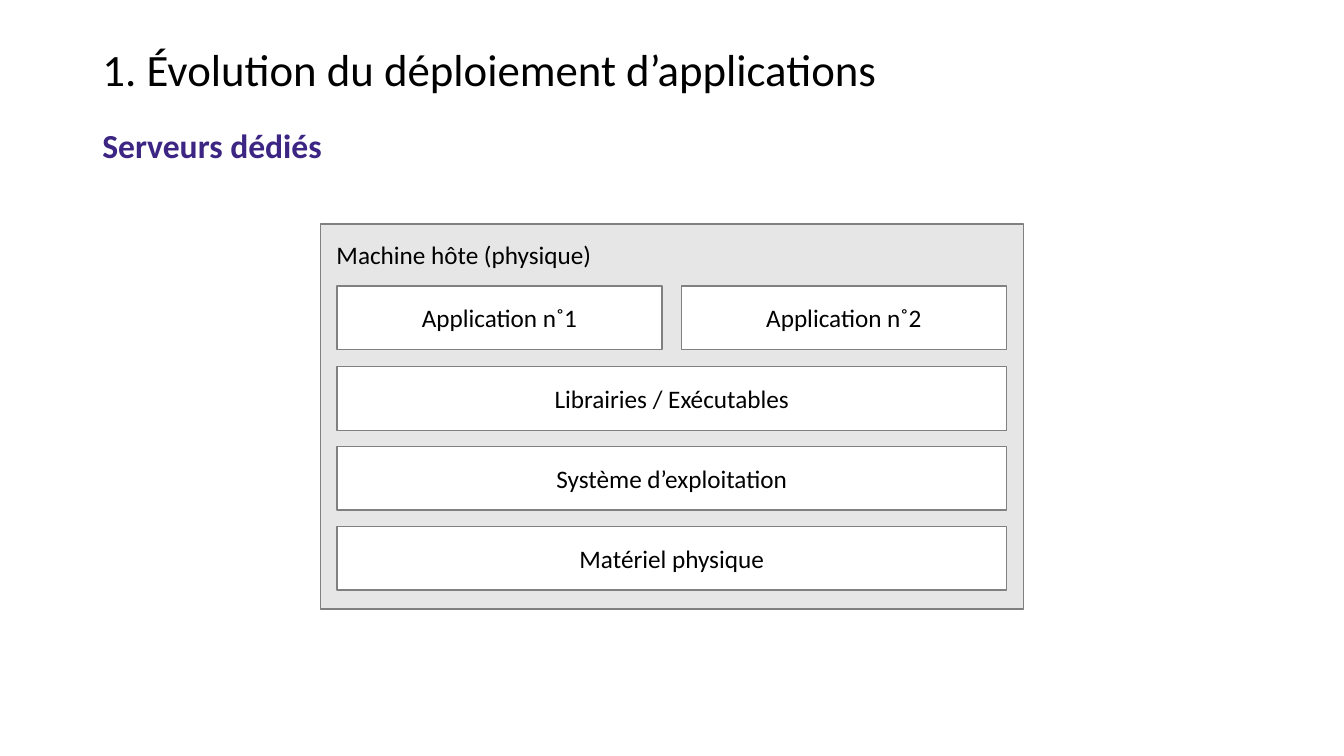
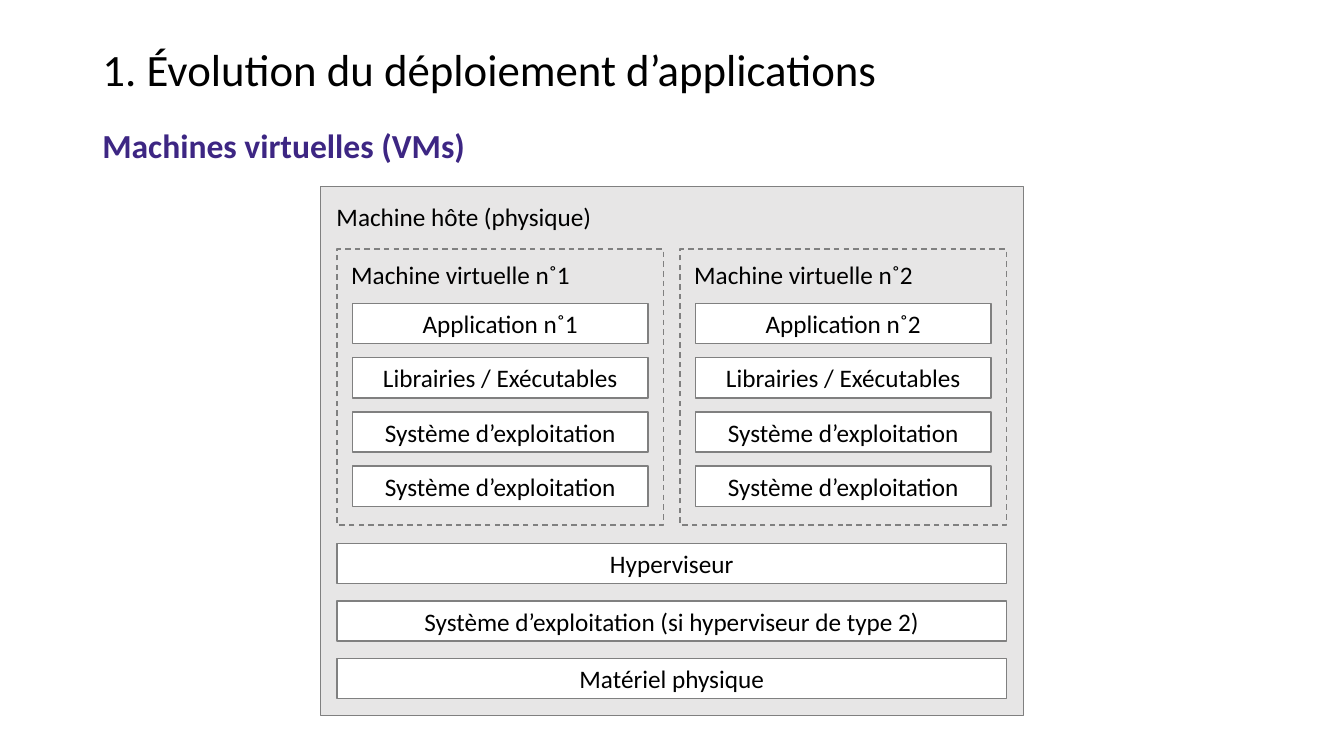
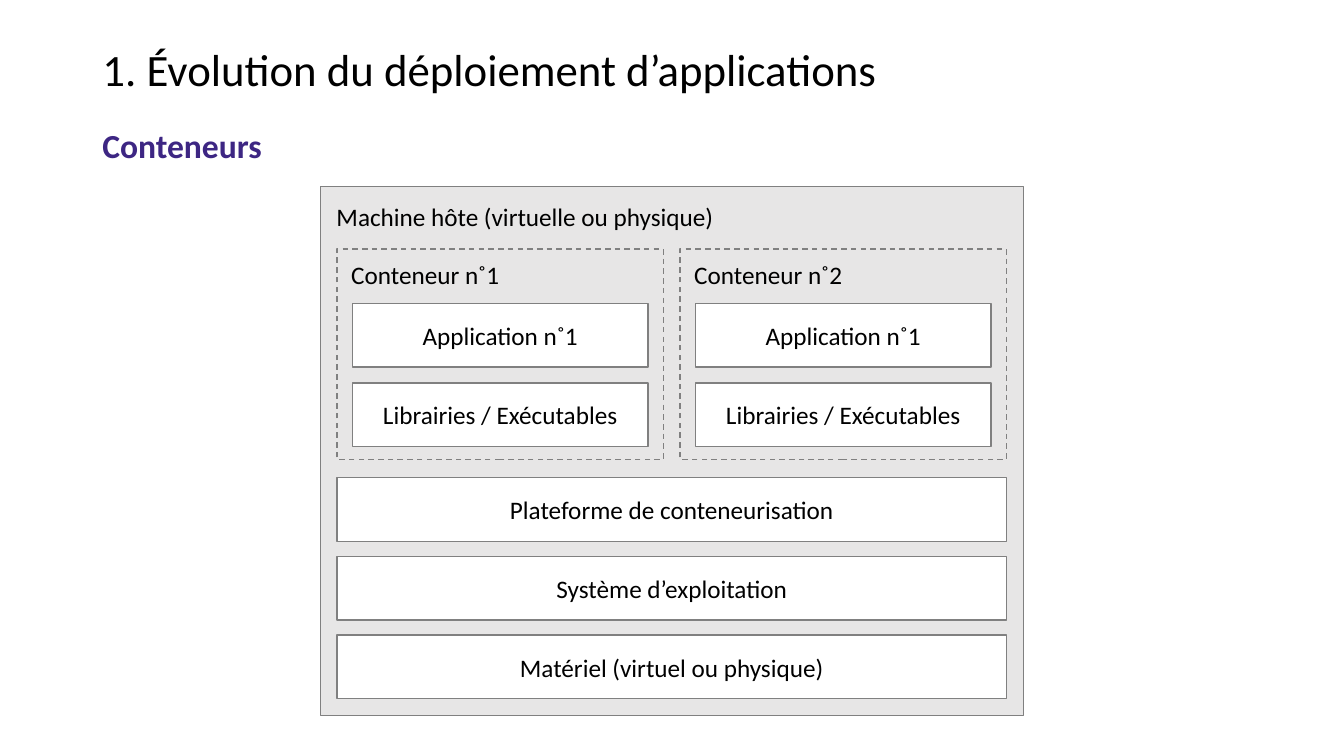
from dataclasses import dataclass

from pptx import Presentation
from pptx.dml.color import RGBColor
from pptx.enum.dml import MSO_LINE
from pptx.enum.shapes import MSO_SHAPE
from pptx.enum.text import MSO_ANCHOR, MSO_AUTO_SIZE, PP_ALIGN
from pptx.util import Pt

# Content: each stack has columns on top and full-width layers below
TITLE = "1. Évolution du déploiement d’applications"
APP = "Application n˚"
LIBS = "Librairies / Exécutables"
SYSTEM = "Système d’exploitation"

STACKS = [
    dict(
        heading="Serveurs dédiés",
        host="Machine hôte (physique)",
        host_top=160, host_height=275, box_height=45.4, gap=14,
        columns=[(None, [APP + "1"]), (None, [APP + "2"])],
        column_top=204.4, column_height=45.4, column_pitch=0,
        layers=[LIBS, SYSTEM, "Matériel physique"],
        layer_top=262, layer_pitch=57,
    ),
    dict(
        heading="Machines virtuelles (VMs)",
        host="Machine hôte (physique)",
        host_top=133.2, host_height=378, box_height=28.8, gap=12,
        columns=[(f"Machine virtuelle n˚{n}", [f"{APP}{n}", LIBS, SYSTEM, SYSTEM])
                 for n in (1, 2)],
        column_top=177.8, column_height=197.3, column_pitch=38.7,
        layers=["Hyperviseur", "Système d’exploitation (si hyperviseur de type 2)",
                "Matériel physique"],
        layer_top=388.2, layer_pitch=41,
    ),
    dict(
        heading="Conteneurs",
        host="Machine hôte (virtuelle ou physique)",
        host_top=133.2, host_height=378, box_height=45.4, gap=12,
        columns=[(f"Conteneur n˚{n}", [APP + "1", LIBS]) for n in (1, 2)],
        column_top=177.8, column_height=150.5, column_pitch=56.8,
        layers=["Plateforme de conteneurisation", SYSTEM,
                "Matériel (virtuel ou physique)"],
        layer_top=341.3, layer_pitch=56.2,
    ),
]


@dataclass(frozen=True)
class Theme:
    font: str = "Calibri"
    text: str = "000000"
    accent: str = "3D2683"
    host: str = "E7E6E6"
    box: str = "FFFFFF"
    line: str = "808080"
    title_size: int = 32
    heading_size: int = 24
    body_size: int = 18


THEME = Theme()

# Shared geometry, in points
TITLE_AREA = (66, 28.8, 828, 45.4)
HEADING_AREA = (66, 85.7, 828, 36)
HOST_LEFT, HOST_WIDTH = 229, 502
INNER_LEFT, INNER_WIDTH = 240.8, 478
COLUMN_INSET, COLUMN_HEADER = 10.8, 39
LABEL_HEIGHT = 28.8


def write(sp, text, size=THEME.body_size, color=THEME.text, bold=False,
          align=PP_ALIGN.LEFT, anchor=MSO_ANCHOR.TOP):
    """Put one formatted paragraph in a shape."""
    tf = sp.text_frame
    frame = dict(text=text, word_wrap=True, auto_size=MSO_AUTO_SIZE.NONE,
                 vertical_anchor=anchor)
    for name, value in frame.items():
        setattr(tf, name, value)
    p = tf.paragraphs[0]
    p.alignment = align
    font = dict(name=THEME.font, size=Pt(size), bold=bold)
    for name, value in font.items():
        setattr(p.font, name, value)
    p.font.color.rgb = RGBColor.from_string(color)
    return p


def add_label(s, text, *area, **style):
    sp = s.shapes.add_textbox(*map(Pt, area))
    write(sp, text, **style)


def add_rect(s, *area, fill=None, dashed=False):
    sp = s.shapes.add_shape(MSO_SHAPE.RECTANGLE, *map(Pt, area))
    sp.shadow.inherit = False
    if fill:
        sp.fill.solid()
        sp.fill.fore_color.rgb = RGBColor.from_string(fill)
    else:
        sp.fill.background()
    sp.line.color.rgb = RGBColor.from_string(THEME.line)
    sp.line.width = Pt(1)
    if dashed:
        sp.line.dash_style = MSO_LINE.DASH
    return sp


def add_boxes(s, texts, left, top, width, height, pitch):
    """Stack white boxes downwards at an equal pitch."""
    for i, text in enumerate(texts):
        sp = add_rect(s, left, top + i * pitch, width, height, fill=THEME.box)
        write(sp, text, align=PP_ALIGN.CENTER, anchor=MSO_ANCHOR.MIDDLE)


def add_titles(s, heading):
    title = s.shapes.title
    for name, value in zip(("left", "top", "width", "height"), TITLE_AREA):
        setattr(title, name, Pt(value))
    p = write(title, TITLE, size=THEME.title_size, anchor=MSO_ANCHOR.MIDDLE)
    p.line_spacing = 0.9
    add_label(s, heading, *HEADING_AREA, size=THEME.heading_size,
              color=THEME.accent, bold=True)


def add_stack(s, stack):
    # Host machine
    top, height = stack["host_top"], stack["box_height"]
    add_rect(s, HOST_LEFT, top, HOST_WIDTH, stack["host_height"], fill=THEME.host)
    add_label(s, stack["host"], HOST_LEFT + 4.3, top + 7.2, 341, LABEL_HEIGHT)

    # Columns, framed when they carry a label
    columns, gap, top = stack["columns"], stack["gap"], stack["column_top"]
    width = (INNER_WIDTH - gap * (len(columns) - 1)) / len(columns)
    for i, (label, boxes) in enumerate(columns):
        left = INNER_LEFT + i * (width + gap)
        inset = header = 0
        if label:
            inset, header = COLUMN_INSET, COLUMN_HEADER
            add_rect(s, left, top, width, stack["column_height"], dashed=True)
            add_label(s, label, left + 3, top + 3.6, 194, LABEL_HEIGHT)
        add_boxes(s, boxes, left + inset, top + header, width - 2 * inset,
                  height, stack["column_pitch"])

    # Full-width layers
    add_boxes(s, stack["layers"], INNER_LEFT, stack["layer_top"], INNER_WIDTH,
              height, stack["layer_pitch"])


def main():
    prs = Presentation()
    prs.slide_width, prs.slide_height = Pt(960), Pt(540)
    title_only = prs.slide_layouts[5]
    for stack in STACKS:
        s = prs.slides.add_slide(title_only)
        add_titles(s, stack["heading"])
        add_stack(s, stack)
    prs.save("out.pptx")


if __name__ == "__main__":
    main()
